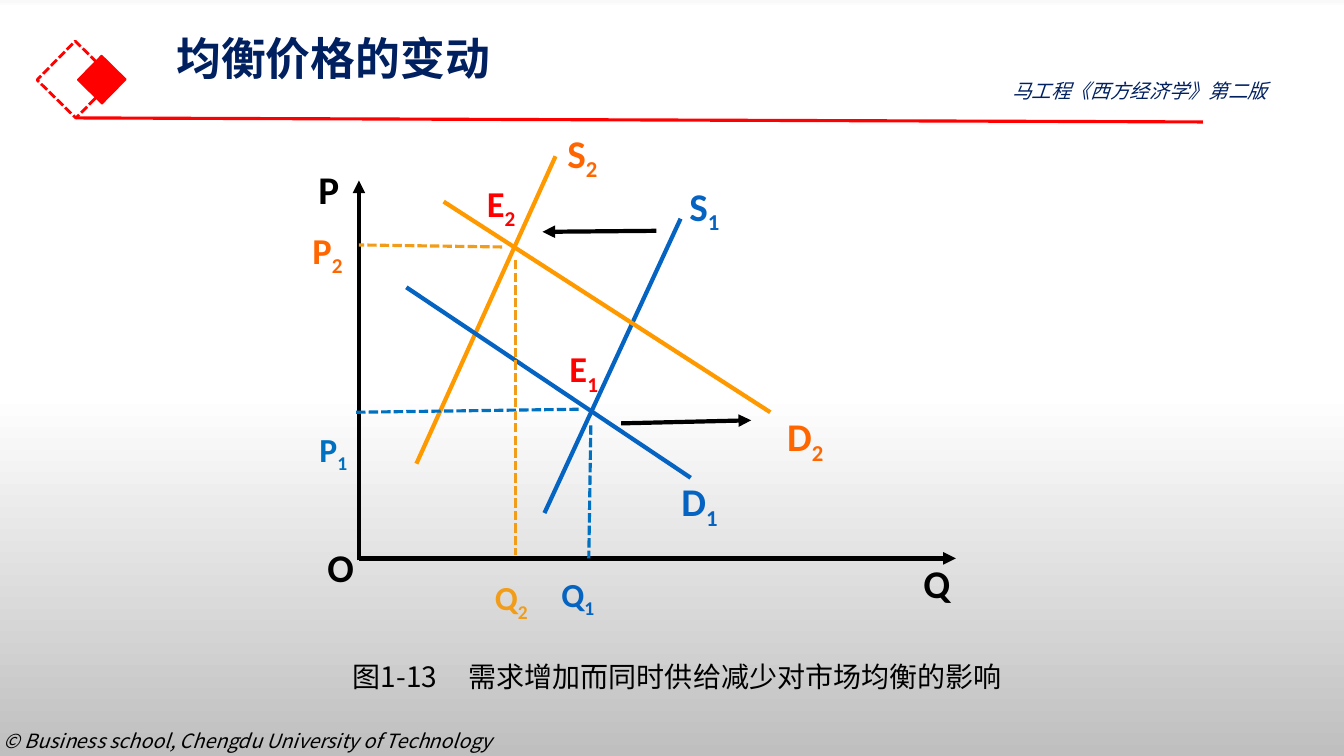
"""Build a slide on how a joint demand and supply shift moves the market equilibrium."""
from lxml.etree import SubElement
from pptx import Presentation
from pptx.dml.color import RGBColor
from pptx.enum.dml import MSO_LINE
from pptx.enum.shapes import MSO_CONNECTOR, MSO_SHAPE
from pptx.enum.text import MSO_ANCHOR, MSO_AUTO_SIZE
from pptx.oxml.ns import qn
from pptx.util import Pt

PX = 9144
BLACK = RGBColor(0x00, 0x00, 0x00)
RED = RGBColor(0xFF, 0x00, 0x00)
NAVY = RGBColor(0x00, 0x20, 0x60)
BLUE = RGBColor(0x05, 0x63, 0xC1)
LIGHT_BLUE = RGBColor(0x00, 0x70, 0xC0)
ORANGE = RGBColor(0xFF, 0x99, 0x00)
DARK_ORANGE = RGBColor(0xFF, 0x66, 0x00)
AMBER = RGBColor(0xF1, 0x9D, 0x19)
CJK_FONT = "Noto Sans CJK SC"
LABEL_FONT = "Calibri"

presentation = Presentation()
presentation.slide_width = 1333 * PX
presentation.slide_height = 750 * PX
slide = presentation.slides.add_slide(presentation.slide_layouts[6])


def add_text(text, left, top, width, height, *, size, color, subscript="",
             font_name=CJK_FONT, bold=False, italic=False, wrap=False,
             grow=False, anchor=MSO_ANCHOR.TOP, line_spacing=None, tab=None):
    box = slide.shapes.add_textbox(left * PX, top * PX, width * PX, height * PX)
    frame = box.text_frame
    frame.word_wrap = wrap
    frame.auto_size = MSO_AUTO_SIZE.SHAPE_TO_FIT_TEXT if grow else MSO_AUTO_SIZE.NONE
    frame.vertical_anchor = anchor
    paragraph = frame.paragraphs[0]
    if line_spacing:
        paragraph.line_spacing = line_spacing
    if tab:
        tab_list = SubElement(paragraph._p.get_or_add_pPr(), qn("a:tabLst"))
        SubElement(tab_list, qn("a:tab"), pos=str(tab * PX), algn="l")
    for part in filter(None, (text, subscript)):
        run = paragraph.add_run()
        run.text = part
        font = run.font
        font.size = Pt(size)
        font.bold = bold
        font.italic = italic
        font.color.rgb = color
        font.name = font_name
        SubElement(font._element, qn("a:ea"), typeface=font_name)
    if subscript:
        font._element.set("baseline", "-25000")


def add_line(start_x, start_y, end_x, end_y, *, color, width=3, dashed=False, arrow=False):
    connector = slide.shapes.add_connector(
        MSO_CONNECTOR.STRAIGHT, start_x * PX, start_y * PX, end_x * PX, end_y * PX)
    connector.line.color.rgb = color
    connector.line.width = Pt(width)
    if dashed:
        connector.line.dash_style = MSO_LINE.SQUARE_DOT
    if arrow:
        SubElement(connector.line._get_or_add_ln(), qn("a:tailEnd"), type="triangle")
    SubElement(connector._element.spPr, qn("a:effectLst"))


background = slide.background.fill
background.gradient()
background.gradient_angle = 270
stop_list = background._fill._gradFill.find(qn("a:gsLst"))
for stop in list(stop_list):
    stop_list.remove(stop)
for percent, shade in ((0, "F9F9F9"), (1, "FFFFFF"), (52, "FFFFFF"), (100, "BFBFBF")):
    stop = SubElement(stop_list, qn("a:gs"), pos=str(percent * 1000))
    SubElement(stop, qn("a:srgbClr"), val=shade)

for left, top, side, line_width, filled in ((48, 52, 54, 2, False), (84, 62, 34, 1, True)):
    diamond = slide.shapes.add_shape(
        MSO_SHAPE.RECTANGLE, left * PX, top * PX, side * PX, side * PX)
    diamond.rotation = 314.5
    diamond.shadow.inherit = False
    diamond.line.color.rgb = RED
    diamond.line.width = Pt(line_width)
    if filled:
        diamond.fill.solid()
        diamond.fill.fore_color.rgb = RED
    else:
        diamond.fill.background()
        diamond.line.dash_style = MSO_LINE.SQUARE_DOT

add_line(75, 117, 1193, 121, color=RED, width=2.25)
add_text("均衡价格的变动", 165, 26, 1150, 68, size=32, color=NAVY, bold=True,
         wrap=True, anchor=MSO_ANCHOR.MIDDLE, line_spacing=0.9)
add_text("马工程《西方经济学》第二版", 994, 73, 324, 34, size=14, color=NAVY,
         italic=True, wrap=True, grow=True)

for *ends, color in (
    (540, 509, 675, 217, BLUE),
    (413, 460, 551, 155, ORANGE),
    (403, 285, 685, 474, BLUE),
    (440, 200, 764, 409, ORANGE),
):
    add_line(*ends, color=color)

for ends in (
    (356, 556, 356, 179),
    (356, 554, 948, 554),
    (616, 420, 745, 417),
    (651, 229, 538, 230),
):
    add_line(*ends, color=BLACK, arrow=True)

for *ends, color in (
    (498, 245, 356, 243, AMBER),
    (574, 406, 353, 409, LIGHT_BLUE),
    (511, 258, 511, 551, AMBER),
    (586, 422, 584, 554, LIGHT_BLUE),
):
    add_line(*ends, color=color, width=2.25, dashed=True)

for letter, subscript, left, top, width, height, size, color in (
    ("P", "", 306, 171, 33, 33, 28, BLACK),
    ("O", "", 315, 546, 33, 33, 28, BLACK),
    ("Q", "", 906, 562, 33, 33, 28, BLACK),
    ("S", "1", 674, 190, 56, 34, 28, BLUE),
    ("S", "2", 553, 127, 63, 55, 28, DARK_ORANGE),
    ("D", "1", 666, 472, 64, 57, 28, BLUE),
    ("D", "2", 771, 419, 33, 33, 28, DARK_ORANGE),
    ("E", "1", 555, 352, 33, 33, 26, RED),
    ("E", "2", 473, 184, 68, 40, 26, RED),
    ("P", "1", 307, 423, 49, 50, 24, LIGHT_BLUE),
    ("P", "2", 300, 234, 33, 33, 26, DARK_ORANGE),
    ("Q", "1", 547, 569, 53, 46, 24, BLUE),
    ("Q", "2", 481, 578, 73, 35, 24, AMBER),
):
    add_text(letter, left, top, width, height, subscript=subscript, size=size, color=color,
             font_name=LABEL_FONT, bold=True, anchor=MSO_ANCHOR.MIDDLE)

add_text("图1-13\t需求增加而同时供给减少对市场均衡的影响", 340, 633, 667, 55, size=20,
         color=BLACK, grow=True, line_spacing=1.5, tab=115)
add_text("© Business school, Chengdu University of Technology", -6, 718, 531, 34, size=14,
         color=BLACK, italic=True, grow=True)

presentation.save("out.pptx")
